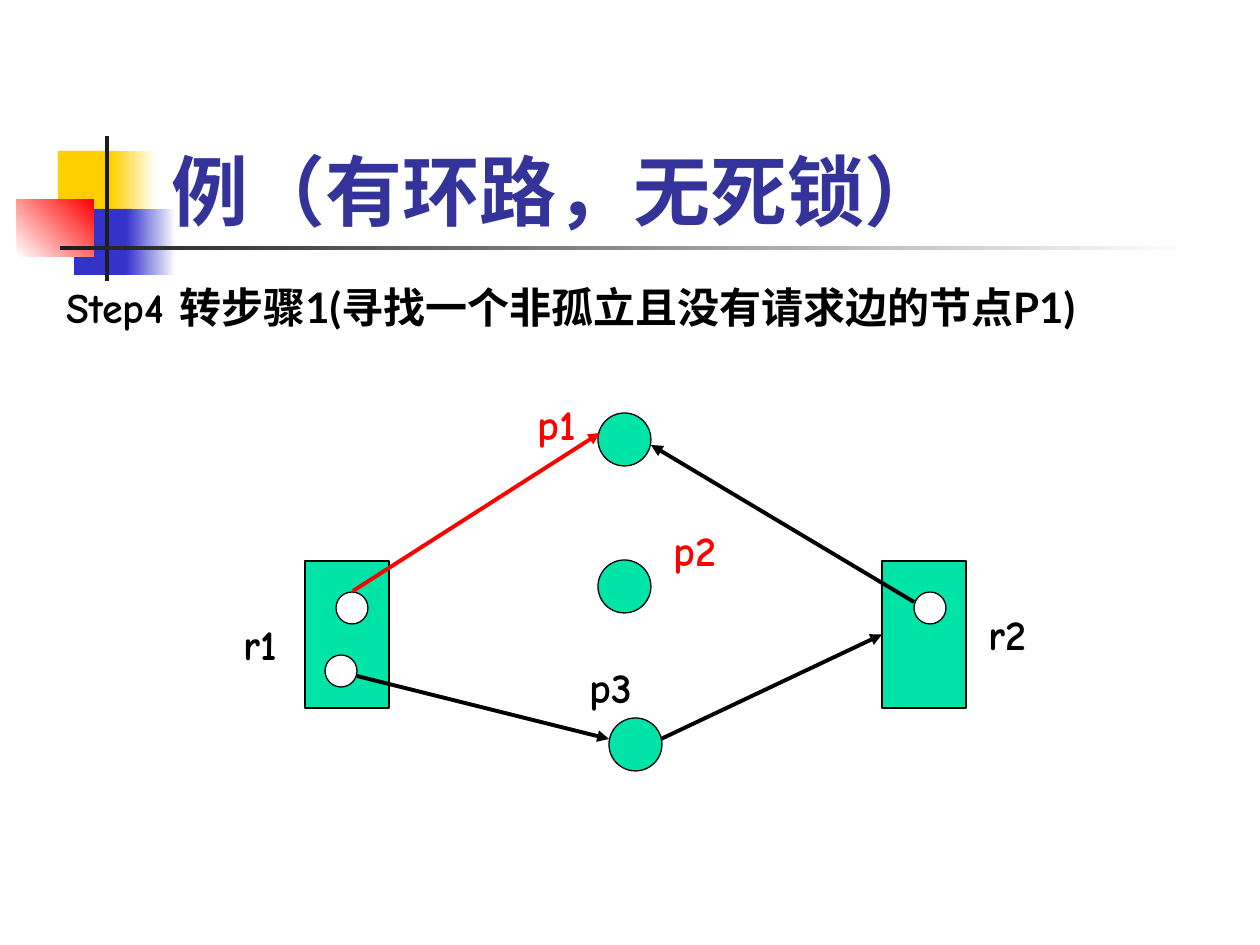
from dataclasses import dataclass
from typing import Any, Optional

from pptx import Presentation
from pptx.dml.color import RGBColor
from pptx.enum.shapes import MSO_CONNECTOR, MSO_SHAPE
from pptx.enum.text import MSO_ANCHOR, MSO_AUTO_SIZE, PP_ALIGN
from pptx.oxml.ns import qn
from pptx.util import Emu, Pt
from lxml.etree import SubElement

PX_PER_INCH = 126
GREEN, WHITE, BLACK, RED = "00E4A8", "FFFFFF", "000000", "FF0000"
YELLOW, BLUE, DARK, INDIGO = "FFCF01", "3333CC", "1C1C1C", "333399"
HAND, SANS = "Comic Neue", "Lato"
HOLE, NODE = 32, 53
RESOURCE_WIDTH, RESOURCE_HEIGHT = 84, 147


@dataclass
class Ornament:
    left: int
    top: int
    width: int
    height: int
    color: str
    end_color: Optional[str] = None
    angle: int = 0


@dataclass
class Resource:
    left: int
    top: int
    holes: list[tuple[int, int]]


@dataclass
class Label:
    text: str
    left: int
    top: int
    width: int
    color: str = BLACK


@dataclass
class Edge:
    start: tuple[int, int]
    end: tuple[int, int]
    color: str = BLACK
    target: Any = None


def px(length: int) -> Emu:
    return Emu(round(length * 914400 / PX_PER_INCH))


def rgb(value: str) -> RGBColor:
    return RGBColor.from_string(value)


def apply(target: Any, values: dict[str, Any]) -> None:
    for name, value in values.items():
        setattr(target, name, value)


def add_span(para: Any, text: str, font: str, size: int, color: str) -> None:
    span = para.add_run()
    span.text = text
    apply(span.font, {"name": font, "size": Pt(size), "bold": True})
    span.font.color.rgb = rgb(color)


def add_figure(shapes: Any, kind: Any, left: int, top: int, width: int,
               height: int, color: str, outlined: bool = True) -> Any:
    figure = shapes.add_shape(kind, px(left), px(top), px(width), px(height))
    figure.shadow.inherit = False
    figure.fill.solid()
    figure.fill.fore_color.rgb = rgb(color)
    if outlined:
        figure.line.color.rgb = rgb(BLACK)
        figure.line.width = Pt(0.75)
    else:
        figure.line.fill.background()
    return figure


def add_ornament(shapes: Any, item: Ornament) -> Any:
    figure = add_figure(shapes, MSO_SHAPE.RECTANGLE, item.left, item.top,
                        item.width, item.height, item.color, outlined=False)
    if item.end_color:
        figure.fill.gradient()
        figure.fill.gradient_angle = item.angle
        colors = (item.color, item.end_color)
        for position, (stop, color) in enumerate(zip(figure.fill.gradient_stops, colors)):
            stop.position = position
            stop.color.rgb = rgb(color)
    return figure


def add_resource(shapes: Any, item: Resource) -> Any:
    body = add_figure(shapes, MSO_SHAPE.RECTANGLE, item.left, item.top,
                      RESOURCE_WIDTH, RESOURCE_HEIGHT, GREEN)
    for left, top in item.holes:
        add_figure(shapes, MSO_SHAPE.OVAL, left, top, HOLE, HOLE, WHITE)
    return body


def add_text(shapes: Any, left: int, top: int, width: int,
             spans: list[tuple[str, str]], color: str) -> None:
    box = shapes.add_textbox(px(left), px(top), px(width), px(63))
    box.text_frame.word_wrap = True
    for text, font in spans:
        add_span(box.text_frame.paragraphs[0], text, font, 24, color)


def add_edge(shapes: Any, edge: Edge) -> None:
    arrow = shapes.add_connector(MSO_CONNECTOR.STRAIGHT, *map(px, edge.start + edge.end))
    if edge.target is not None:
        arrow.end_connect(edge.target, 1)
    arrow.line.color.rgb = rgb(edge.color)
    arrow.line.width = Pt(2.25)
    SubElement(arrow.line._get_or_add_ln(), qn("a:tailEnd"), type="triangle")
    SubElement(arrow.element.spPr, qn("a:effectLst"))


def main() -> None:
    deck = Presentation()
    apply(deck, {"slide_width": px(1260), "slide_height": px(945)})
    page = deck.slides.add_slide(deck.slide_layouts[5])
    shapes = page.shapes

    ornaments = [
        Ornament(58, 151, 60, 66, YELLOW),
        Ornament(111, 151, 45, 66, YELLOW, WHITE),
        Ornament(74, 209, 58, 66, BLUE),
        Ornament(126, 209, 50, 66, BLUE, WHITE),
        Ornament(17, 199, 77, 58, WHITE, RED, 45),
        Ornament(105, 136, 4, 145, DARK),
        Ornament(60, 246, 1134, 4, DARK, WHITE),
    ]
    figures = [add_ornament(shapes, item) for item in ornaments]

    title = shapes.title
    figures[-1].element.addnext(title.element)
    apply(title, {"left": px(159), "top": px(84), "width": px(1074), "height": px(158)})
    apply(title.text_frame, {"auto_size": MSO_AUTO_SIZE.NONE, "word_wrap": True,
                             "vertical_anchor": MSO_ANCHOR.BOTTOM})
    heading = title.text_frame.paragraphs[0]
    heading.alignment = PP_ALIGN.LEFT
    add_span(heading, "例（有环路，无死锁）", SANS, 44, INDIGO)

    group = shapes.add_group_shape()
    add_resource(group.shapes, Resource(305, 561, [(336, 592), (325, 655)]))
    second_resource = add_resource(shapes, Resource(882, 561, [(914, 592)]))
    for left, top in [(598, 413), (598, 560), (609, 718)]:
        add_figure(shapes, MSO_SHAPE.OVAL, left, top, NODE, NODE, GREEN)

    for edge in [
        Edge((914, 602), (651, 445)),
        Edge((357, 676), (609, 739)),
        Edge((353, 591), (600, 433), RED),
        Edge((661, 739), (882, 634), target=second_resource),
    ]:
        add_edge(shapes, edge)

    for label in [
        Label("p1", 525, 392, 94, RED),
        Label("p2", 661, 518, 74, RED),
        Label("p3", 577, 655, 74),
        Label("r1", 231, 612, 84),
        Label("r2", 976, 602, 74),
    ]:
        add_text(shapes, label.left, label.top, label.width,
                 [(label.text, HAND)], label.color)

    add_text(shapes, 54, 275, 1206,
             [("Step4 ", HAND), ("转步骤1(寻找一个非孤立且没有请求边的节点P1)", SANS)], BLACK)

    deck.save("out.pptx")


if __name__ == "__main__":
    main()
